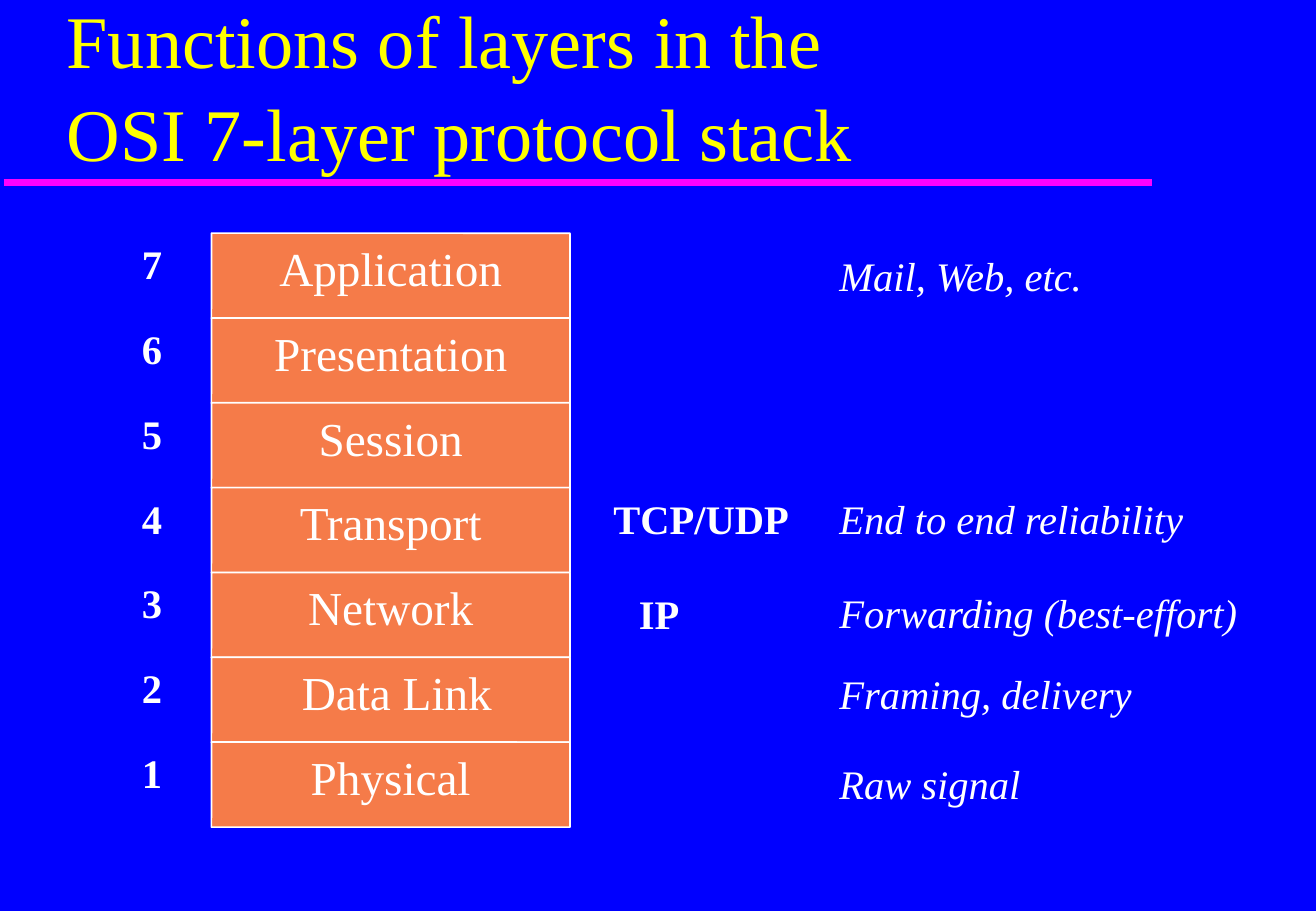
from pptx import Presentation
from pptx.dml.color import RGBColor
from pptx.enum.shapes import MSO_CONNECTOR, MSO_SHAPE
from pptx.enum.text import MSO_ANCHOR, PP_ALIGN
from pptx.oxml.ns import qn
from pptx.util import Inches, Pt
from lxml.etree import SubElement

HUES = {"back": "0000FF", "title": "FFFF00", "rule": "FF00FF",
        "layer": "F57B49", "text": "FFFFFF"}
FONT = "Times New Roman"
STEP = 4.19 / 6
LAYERS = ["Application", "Presentation", "Session", "Transport",
          "Network", "Data Link", "Physical"]
STACK = [("TCP/UDP", 0, 2.1), ("IP", 0.21, 2.88)]
ROLES = [("Mail, Web, etc.", 0.1), ("End to end reliability", 2.1),
         ("Forwarding (best-effort)", 2.87), ("Framing, delivery", 3.54),
         ("Raw signal", 4.28)]


def hue(name):
    return RGBColor.from_string(HUES[name])


def write(shape, text, size, color="text", bold=False, italic=False,
          align=PP_ALIGN.LEFT, anchor=MSO_ANCHOR.TOP):
    frame = shape.text_frame
    frame.word_wrap = True
    frame.vertical_anchor = anchor
    frame.text = text
    para = frame.paragraphs[0]
    para.alignment = align
    font = para.font
    font.name, font.size = FONT, Pt(size)
    font.bold, font.italic = bold, italic
    font.color.rgb = hue(color)
    return para


def label(slide, left, top, width, text, **style):
    box = slide.shapes.add_textbox(
        Inches(left), Inches(top), Inches(width), Inches(0.5))
    write(box, text, 24, **style)


def add_title(slide, left, top, width, height):
    box = slide.shapes.add_textbox(
        Inches(left), Inches(top), Inches(width), Inches(height))
    para = write(box, "Functions of layers in the\vOSI 7-layer protocol stack",
                 44, "title", anchor=MSO_ANCHOR.BOTTOM)
    para.line_spacing = 1.04
    base = Inches(top + height)
    rule = slide.shapes.add_connector(
        MSO_CONNECTOR.STRAIGHT, Inches(left - 0.42), base,
        Inches(left + 9.03), base)
    rule.line.color.rgb = hue("rule")
    rule.line.width = Pt(4)
    SubElement(rule._element.spPr, qn("a:effectLst"))


def add_stack(slide, left, top, width, height):
    for row, name in enumerate(LAYERS):
        y = top + row * STEP
        label(slide, left - 0.67, y, 0.36, str(len(LAYERS) - row), bold=True)
        bar = slide.shapes.add_shape(
            MSO_SHAPE.ROUNDED_RECTANGLE, Inches(left), Inches(y),
            Inches(width), Inches(height))
        bar.adjustments[0] = 0.002
        bar.shadow.inherit = False
        bar.fill.solid()
        bar.fill.fore_color.rgb = hue("layer")
        bar.line.color.rgb = hue("text")
        bar.line.width = Pt(1)
        write(bar, name, 28, align=PP_ALIGN.CENTER)
        if name == "Data Link":
            bar.text_frame.margin_left = Inches(0.2)


def add_notes(slide, left, top, width):
    for text, shift, drop in STACK:
        label(slide, left + shift, top + drop, 1.75, text, bold=True)
    for text, drop in ROLES:
        label(slide, left + 1.86, top + drop, width, text, italic=True)


def main():
    deck = Presentation()
    deck.slide_width, deck.slide_height = Inches(10.83), Inches(7.5)
    slide = deck.slides.add_slide(deck.slide_layouts[6])
    slide.background.fill.solid()
    slide.background.fill.fore_color.rgb = hue("back")
    add_title(slide, 0.45, 0.04, 9.2, 1.46)
    add_stack(slide, 1.74, 1.92, 2.95, 0.7)
    add_notes(slide, 4.95, 1.92, 3.6)
    deck.save("out.pptx")


if __name__ == "__main__":
    main()
